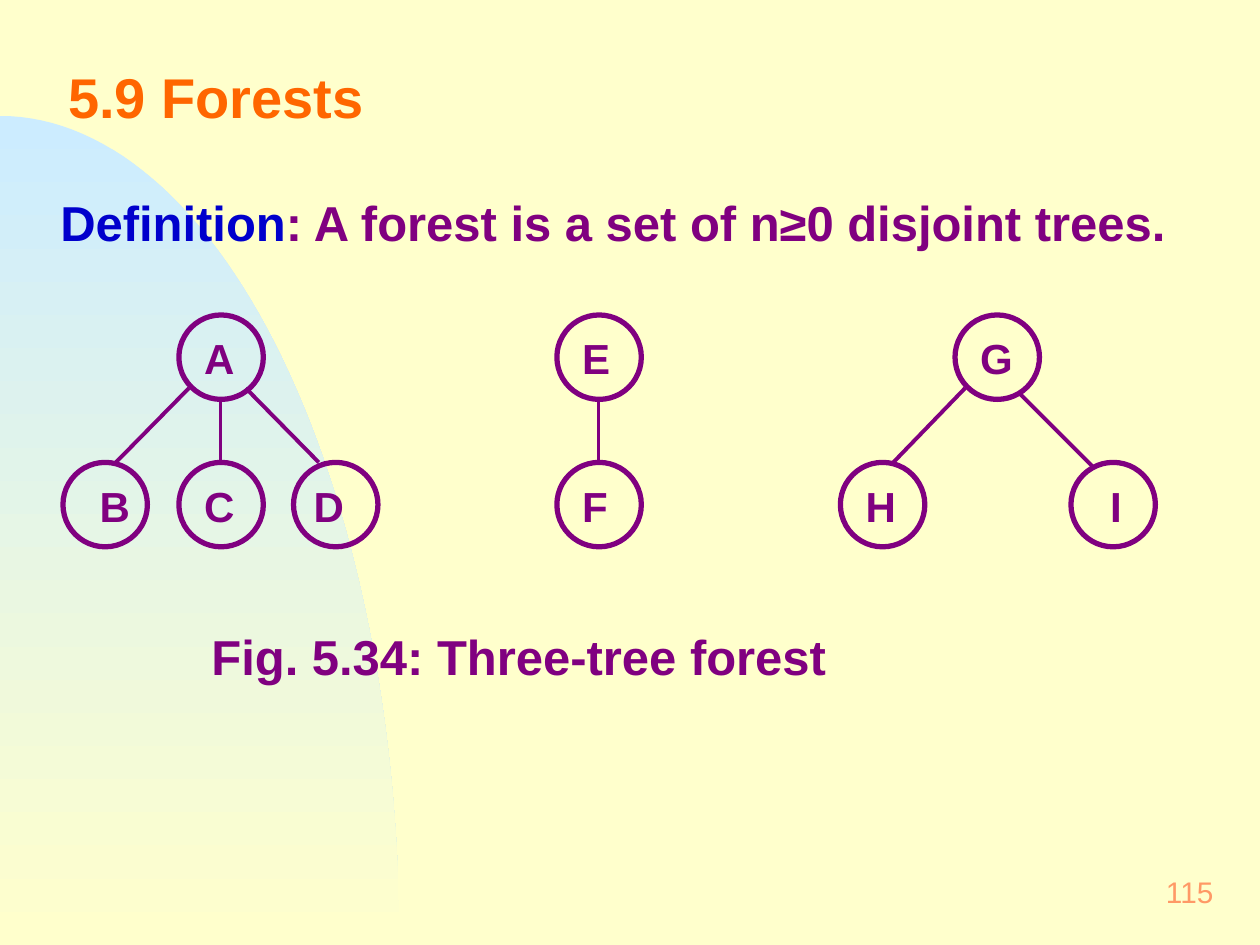
import math

from lxml import etree
from pptx import Presentation
from pptx.dml.color import RGBColor
from pptx.enum.shapes import MSO_CONNECTOR, MSO_SHAPE
from pptx.enum.text import MSO_ANCHOR, PP_ALIGN
from pptx.oxml.ns import qn
from pptx.util import Inches, Pt

STRAIGHT = MSO_CONNECTOR.STRAIGHT
OVAL = MSO_SHAPE.OVAL
TOP, MIDDLE = MSO_ANCHOR.TOP, MSO_ANCHOR.MIDDLE
LEFT, RIGHT = PP_ALIGN.LEFT, PP_ALIGN.RIGHT

CREAM = RGBColor(0xFF, 0xFF, 0xCC)
SKY = RGBColor(0xCC, 0xEC, 0xFF)
ORANGE = RGBColor(0xFF, 0x66, 0x00)
PEACH = RGBColor(0xFF, 0x99, 0x66)
BLUE = RGBColor(0x00, 0x00, 0xCC)
PURPLE = RGBColor(0x80, 0x00, 0x80)

# Content
TITLE = "5.9 Forests"
DEFINITION = [("Definition", BLUE), (": A forest is a set of n≥0 disjoint trees.", PURPLE)]
CAPTION = "Fig. 5.34: Three-tree forest"
PAGE_NUMBER = "115"

# Node: left edge, level, shift of the letter inside the circle
NODES = {
    "A": (1.42, 0, 0.08), "B": (0.5, 1, 0.17), "C": (1.42, 1, 0.08), "D": (2.33, 1, 0.04),
    "E": (4.42, 0, 0.08), "F": (4.42, 1, 0.08),
    "G": (7.58, 0, 0.08), "H": (6.67, 1, 0.08), "I": (8.5, 1, 0.19),
}
# Edge: parent, child, offset from the parent's corner, offset from the child's corner
DOWN = ((0.33, 0.67), (0.33, 0))
DOWN_LEFT = ((0.08, 0.58), (0.42, 0))
EDGES = [
    ("A", "B", *DOWN_LEFT), ("A", "C", *DOWN), ("A", "D", (0.53, 0.58), (0.2, 0)),
    ("E", "F", *DOWN),
    ("G", "H", *DOWN_LEFT), ("G", "I", (0.5, 0.61), (0.17, 0.03)),
]
DIAMETER = 0.67
LEVEL_TOPS = (2.5, 3.67)

prs = Presentation()
prs.slide_width, prs.slide_height = Inches(10), Inches(7.5)
slide = prs.slides.add_slide(prs.slide_layouts[6])
slide.background.fill.solid()
slide.background.fill.fore_color.rgb = CREAM


def add_text(box, runs, size, bold=True, inset=(0.12, 0.06), anchor=TOP, align=LEFT):
    frame = slide.shapes.add_textbox(*map(Inches, box)).text_frame
    frame.word_wrap = True
    frame.vertical_anchor = anchor
    frame.margin_left = frame.margin_right = Inches(inset[0])
    frame.margin_top = frame.margin_bottom = Inches(inset[1])
    paragraph = frame.paragraphs[0]
    paragraph.alignment = align
    paragraph.font.name, paragraph.font.size, paragraph.font.bold = "Arial", Pt(size), bold
    for text, color in runs:
        run = paragraph.add_run()
        run.text = text
        run.font.color.rgb = color
    return paragraph


def corner(name):
    left, level, _ = NODES[name]
    return left, LEVEL_TOPS[level]


# Quarter-ellipse backdrop, centred on the bottom left corner
RADIUS_X, RADIUS_Y, STEPS = 3.17, 6.58, 60
angles = [math.pi / 2 * step / STEPS for step in range(STEPS + 1)]
arc = [(Inches(RADIUS_X * math.sin(a)), Inches(7.5 - RADIUS_Y * math.cos(a))) for a in angles]
builder = slide.shapes.build_freeform(*arc[0])
builder.add_line_segments(arc[1:] + [(0, Inches(7.5))], close=True)
backdrop = builder.convert_to_shape()
backdrop.shadow.inherit = False
backdrop.line.fill.background()
backdrop.fill.gradient()
backdrop.fill.gradient_angle = 270
for stop, color, position in zip(backdrop.fill.gradient_stops, (SKY, CREAM), (0, 1)):
    stop.color.rgb, stop.position = color, position

# Headings and page number
add_text((7.67, 6.83, 2.08, 0.5), [(PAGE_NUMBER, PEACH)], 17, bold=False,
         anchor=MIDDLE, align=RIGHT)
title = add_text((0.42, 0.33, 9.25, 1), [(TITLE, ORANGE)], 32, anchor=MIDDLE)
title.line_spacing = 0.7
add_text((0.38, 1.48, 9.58, 0.57), DEFINITION, 28, inset=(0.1, 0.05))
add_text((1.58, 4.92, 6.92, 0.57), [(CAPTION, PURPLE)], 28, inset=(0.1, 0.05))

# Tree edges
for parent, child, start, end in EDGES:
    (x1, y1), (x2, y2) = corner(parent), corner(child)
    ends = (x1 + start[0], y1 + start[1], x2 + end[0], y2 + end[1])
    edge = slide.shapes.add_connector(STRAIGHT, *map(Inches, ends))
    edge.line.color.rgb, edge.line.width = PURPLE, Pt(2.25)
    etree.SubElement(edge.element.spPr, qn("a:effectLst"))

# Tree nodes with their letters
for name, (left, level, shift) in NODES.items():
    top = LEVEL_TOPS[level]
    circle = slide.shapes.add_shape(OVAL, *map(Inches, (left, top, DIAMETER, DIAMETER)))
    circle.shadow.inherit = False
    circle.fill.background()
    circle.line.color.rgb, circle.line.width = PURPLE, Pt(3)
    add_text((left + shift, top + 0.08, 0.67, 0.52), [(name, PURPLE)], 24)

prs.save("out.pptx")
